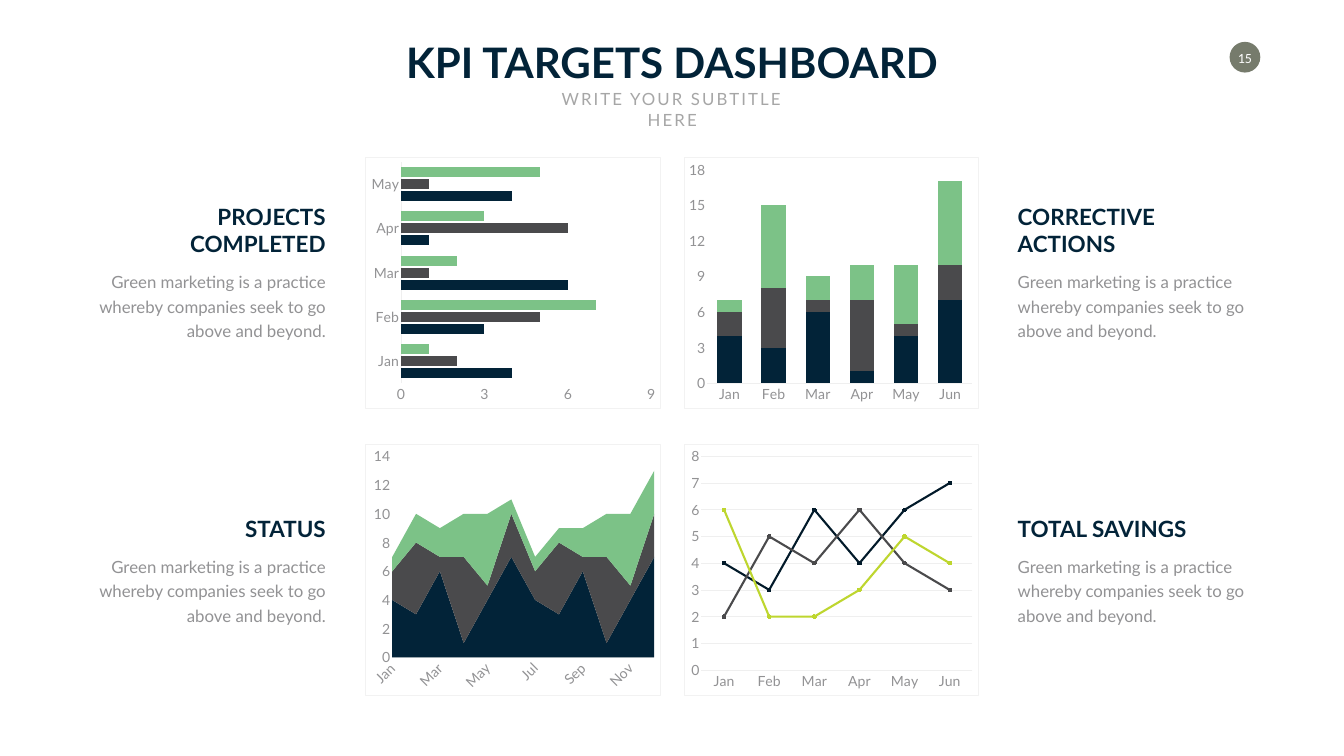
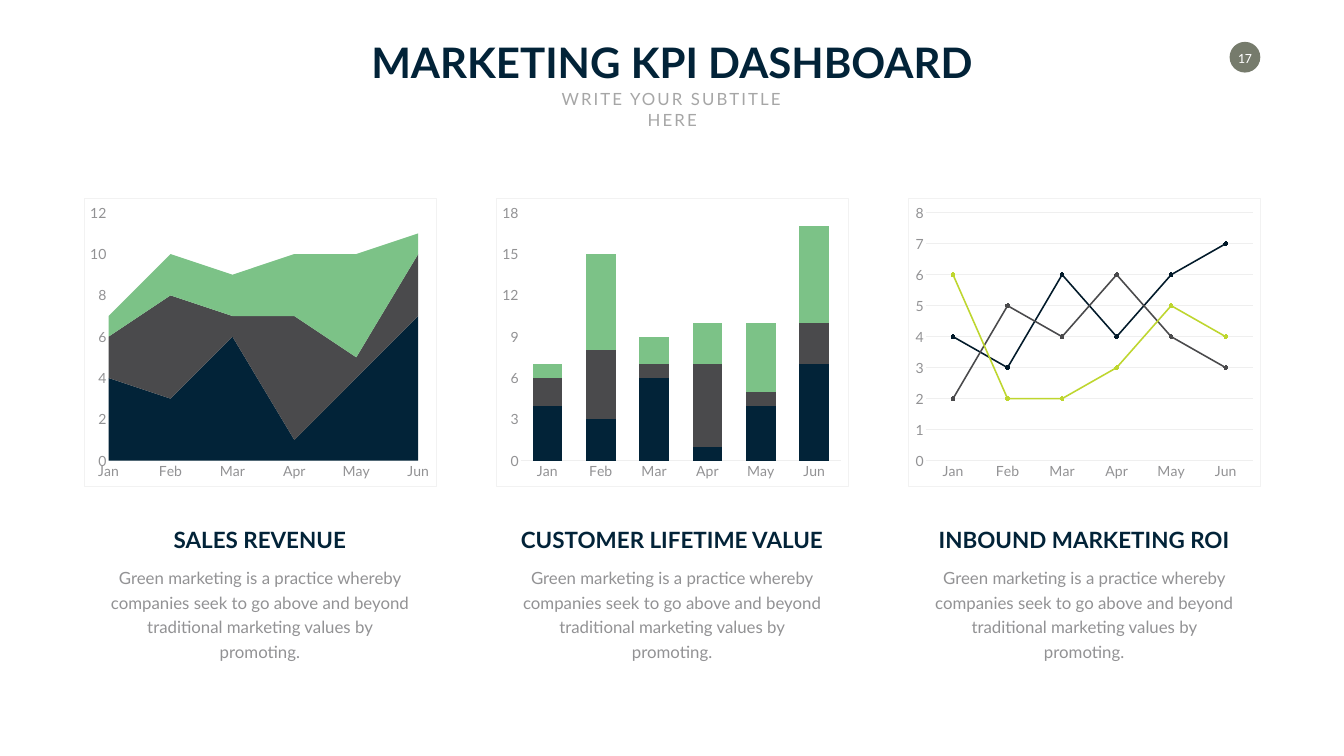
from lxml import etree
from pptx import Presentation
from pptx.chart.data import CategoryChartData
from pptx.dml.color import RGBColor
from pptx.enum.chart import XL_CHART_TYPE, XL_MARKER_STYLE, XL_TICK_MARK
from pptx.enum.shapes import MSO_SHAPE
from pptx.enum.text import MSO_ANCHOR, MSO_AUTO_SIZE, PP_ALIGN
from pptx.oxml import parse_xml
from pptx.oxml.ns import nsdecls, qn
from pptx.util import Inches, Pt

NAVY = RGBColor(0x02, 0x23, 0x38)
INK = RGBColor(0x02, 0x1A, 0x2A)
CHARCOAL = RGBColor(0x4A, 0x4A, 0x4C)
GREEN = RGBColor(0x7C, 0xC2, 0x87)
LIME = RGBColor(0xBE, 0xD6, 0x2F)
GREY = RGBColor(0x92, 0x92, 0x94)
SUBTITLE_GREY = RGBColor(0xA6, 0xA6, 0xA6)
GRID_GREY = RGBColor(0xEF, 0xEF, 0xEF)
BORDER_GREY = RGBColor(0xF2, 0xF2, 0xF2)
OLIVE = RGBColor(0x76, 0x7B, 0x6C)
WHITE = RGBColor(0xFF, 0xFF, 0xFF)

LEFT, CENTER, RIGHT = PP_ALIGN.LEFT, PP_ALIGN.CENTER, PP_ALIGN.RIGHT
TOP, MIDDLE, BOTTOM = MSO_ANCHOR.TOP, MSO_ANCHOR.MIDDLE, MSO_ANCHOR.BOTTOM
GROW = MSO_AUTO_SIZE.SHAPE_TO_FIT_TEXT
OVAL = MSO_SHAPE.OVAL
NO_TICK = XL_TICK_MARK.NONE
CIRCLE = XL_MARKER_STYLE.CIRCLE
BAR = XL_CHART_TYPE.BAR_CLUSTERED
COLUMN = XL_CHART_TYPE.COLUMN_STACKED
AREA = XL_CHART_TYPE.AREA_STACKED
LINE = XL_CHART_TYPE.LINE_MARKERS

FONT = "Lato"
NUMBER_FONT = "Calibri"
SLIDE_WIDTH = 26.66
TITLE_ONLY = 5
FILL_COLORS = (NAVY, CHARCOAL, GREEN)
LINE_COLORS = (INK, CHARCOAL, LIME)

MONTHS = "Jan Feb Mar Apr May Jun Jul Aug Sep Oct Nov Dec".split()
FIRST = [4, 3, 6, 1, 4, 7]
SECOND = [2, 5, 1, 6, 1, 3]
STACKED = (FIRST, SECOND, [1, 7, 2, 3, 5, 7])
YEAR = (FIRST * 2, SECOND * 2, [1, 2, 2, 3, 5, 1, 1, 1, 2, 3, 5, 3])
HALF_YEAR = [values[:6] for values in YEAR]
TO_MAY = [values[:5] for values in STACKED]
TREND = ([4, 3, 6, 4, 6, 7], [2, 5, 4, 6, 4, 3], [6, 2, 2, 3, 5, 4])

SUBTITLE = "WRITE YOUR SUBTITLE HERE"
SHORT_BODY = ("Green marketing is a practice whereby companies seek to go "
              "above and beyond.")
LONG_BODY = ("Green marketing is a practice whereby companies seek to go above "
             "and beyond traditional marketing values by promoting.")


class Dashboard:
    """Holds the deck style and draws elements on the current slide."""

    def __init__(self):
        self.deck = Presentation()
        self.deck.slide_width = Inches(SLIDE_WIDTH)
        self.deck.slide_height = Inches(15)
        self.slide = None

    def new_slide(self, title, title_width, number):
        self.slide = self.deck.slides.add_slide(
            self.deck.slide_layouts[TITLE_ONLY])
        background = self.slide.background.fill
        background.solid()
        background.fore_color.rgb = WHITE
        self.page_number(number)
        heading = self.slide.shapes.title
        heading.left = Inches((SLIDE_WIDTH - title_width) / 2)
        heading.top = Inches(0.67)
        heading.width, heading.height = Inches(title_width), Inches(1.11)
        self.fill_text(heading.text_frame, title, 60, NAVY, CENTER, bold=True,
                       wrap=False)
        subtitle = self.text((10.62, 1.72, 5.43, 0.5), SUBTITLE, 24,
                             SUBTITLE_GREY, CENTER)
        subtitle.font._element.set("spc", "300")

    def page_number(self, number):
        badge = self.slide.shapes.add_shape(
            OVAL, *map(Inches, (24.39, 0.83, 0.61, 0.61)))
        badge.shadow.inherit = False
        badge.fill.solid()
        badge.fill.fore_color.rgb = OLIVE
        badge.line.fill.background()
        self.text((24.49, 0.97, 0.41, 0.34), number, 20, WHITE, CENTER,
                  anchor=MIDDLE, font=NUMBER_FONT, wrap=False, inset=0)

    def fill_text(self, frame, words, size, color, align, bold=False,
                  anchor=TOP, font=FONT, wrap=True, inset=None, spacing=None):
        frame.word_wrap = wrap
        frame.auto_size = GROW
        frame.vertical_anchor = anchor
        if inset is not None:
            frame.margin_left = frame.margin_right = Inches(inset)
            frame.margin_top = frame.margin_bottom = Inches(inset)
        paragraph = frame.paragraphs[0]
        paragraph.alignment = align
        if spacing:
            paragraph.line_spacing = Pt(spacing)
        run = paragraph.add_run()
        run.text = words
        run.font.name, run.font.size = font, Pt(size)
        run.font.bold = bold
        run.font.color.rgb = color
        return run

    def text(self, box, words, size, color, align, **style):
        frame = self.slide.shapes.add_textbox(*map(Inches, box)).text_frame
        return self.fill_text(frame, words, size, color, align, **style)

    def caption(self, left, body_top, width, heading, body, align, lines=1):
        height = 0.1 + 0.54 * lines
        self.text((left, body_top - 0.11 - height, width, height), heading,
                  32, NAVY, align, bold=True, anchor=BOTTOM)
        self.text((left, body_top, width, 1.52), body, 24, GREY, align,
                  spacing=35)

    def chart(self, kind, box, rows, plot_box, maximum, step):
        data = CategoryChartData()
        data.categories = MONTHS[:len(rows[0])]
        for index, values in enumerate(rows, 1):
            data.add_series(f"Series {index}", values)
        chart = self.slide.shapes.add_chart(
            kind, *map(Inches, box), data).chart
        chart.has_legend = chart.has_title = False
        self.style_font(chart.font)
        self.axes(chart, maximum, step)
        self.frame_chart(chart, plot_box)
        return chart

    def style_font(self, font):
        font.name, font.size = FONT, Pt(20)
        font.color.rgb = GREY

    def axes(self, chart, maximum, step):
        months, scale = chart.category_axis, chart.value_axis
        for axis in (months, scale):
            axis.major_tick_mark = axis.minor_tick_mark = NO_TICK
            axis.has_major_gridlines = False
            self.style_font(axis.tick_labels.font)
        months.format.line.color.rgb = GRID_GREY
        months.format.line.width = Pt(0.75)
        scale.format.line.fill.background()
        scale.minimum_scale, scale.maximum_scale = 0, maximum
        scale.major_unit = step

    def frame_chart(self, chart, plot_box):
        space = chart._chartSpace
        space.find(qn("c:chart")).addnext(parse_xml(
            f'<c:spPr {nsdecls("c", "a")}><a:noFill/><a:ln w="9525">'
            f'<a:solidFill><a:srgbClr val="{BORDER_GREY}"/></a:solidFill>'
            '</a:ln></c:spPr>'))
        plot_area = space.find(".//" + qn("c:plotArea"))
        for layout in plot_area.findall(qn("c:layout")):
            plot_area.remove(layout)
        layout = etree.Element(qn("c:layout"))
        manual = etree.SubElement(layout, qn("c:manualLayout"))
        settings = [("layoutTarget", "inner"), ("xMode", "edge"),
                    ("yMode", "edge"), *zip("xywh", map(str, plot_box))]
        for tag, value in settings:
            etree.SubElement(manual, qn("c:" + tag)).set("val", value)
        plot_area.insert(0, layout)

    def filled_chart(self, kind, box, rows, plot_box, maximum, step,
                     gap=None, overlap=None):
        plot = self.chart(kind, box, rows, plot_box, maximum, step).plots[0]
        plot.vary_by_categories = False
        if gap is not None:
            plot.gap_width, plot.overlap = gap, overlap
        for series, color in zip(plot.series, FILL_COLORS):
            series.format.fill.solid()
            series.format.fill.fore_color.rgb = color

    def bars(self, box, rows, plot_box):
        self.filled_chart(BAR, box, rows, plot_box, 9, 3, 100, -20)

    def columns(self, box, rows, plot_box):
        self.filled_chart(COLUMN, box, rows, plot_box, 18, 3, 80, 100)

    def areas(self, box, rows, plot_box, maximum):
        self.filled_chart(AREA, box, rows, plot_box, maximum, 2)

    def lines(self, box, rows, plot_box, weight):
        chart = self.chart(LINE, box, rows, plot_box, 8, 1)
        chart.value_axis.has_major_gridlines = True
        grid = chart.value_axis.major_gridlines.format.line
        grid.color.rgb, grid.width = GRID_GREY, Pt(0.75)
        chart.plots[0].vary_by_categories = False
        for series, color in zip(chart.plots[0].series, LINE_COLORS):
            series.smooth = False
            series.format.line.color.rgb = color
            series.format.line.width = Pt(weight)
            marker = series.marker
            marker.style, marker.size = CIRCLE, 5
            marker.format.fill.solid()
            marker.format.fill.fore_color.rgb = color
            marker.format.line.color.rgb = color


def kpi_targets(board):
    board.new_slide("KPI TARGETS DASHBOARD", 11.06, "15")
    projects, actions, status, savings = [
        (left, top, 5.85, 5) for top in (3.11, 8.8) for left in (7.25, 13.56)]
    board.columns(actions, STACKED, (0.08, 0.05, 0.9, 0.85))
    board.areas(status, YEAR, (0.09, 0.05, 0.89, 0.8), 14)
    captions = (("PROJECTS COMPLETED", "STATUS", 1.66, RIGHT),
                ("CORRECTIVE ACTIONS", "TOTAL SAVINGS", 20.09, LEFT))
    for upper, lower, left, align in captions:
        board.caption(left, 5.26, 4.9, upper, SHORT_BODY, align, lines=2)
        board.caption(left, 10.91, 4.9, lower, SHORT_BODY, align)
    board.lines(savings, TREND, (0.06, 0.05, 0.92, 0.85), 3)
    board.bars(projects, TO_MAY, (0.12, 0.02, 0.85, 0.88))


def marketing_kpi(board):
    board.new_slide("MARKETING KPI DASHBOARD", 12.29, "17")
    lefts = [1.66 + (18.01 - 1.66) / 2 * column for column in range(3)]
    revenue, lifetime, roi = [(left, 3.93, 6.99, 5.73) for left in lefts]
    board.columns(lifetime, STACKED, (0.07, 0.05, 0.91, 0.86))
    board.areas(revenue, HALF_YEAR, (0.07, 0.05, 0.88, 0.86), 12)
    board.lines(roi, TREND, (0.05, 0.05, 0.93, 0.86), 2.25)
    headings = ("SALES REVENUE", "CUSTOMER LIFETIME VALUE",
                "INBOUND MARKETING ROI")
    for left, heading in zip(lefts, headings):
        board.caption(left + 0.35, 11.13, 6.29, heading, LONG_BODY, CENTER)


def main():
    board = Dashboard()
    kpi_targets(board)
    marketing_kpi(board)
    board.deck.save("out.pptx")


if __name__ == "__main__":
    main()
